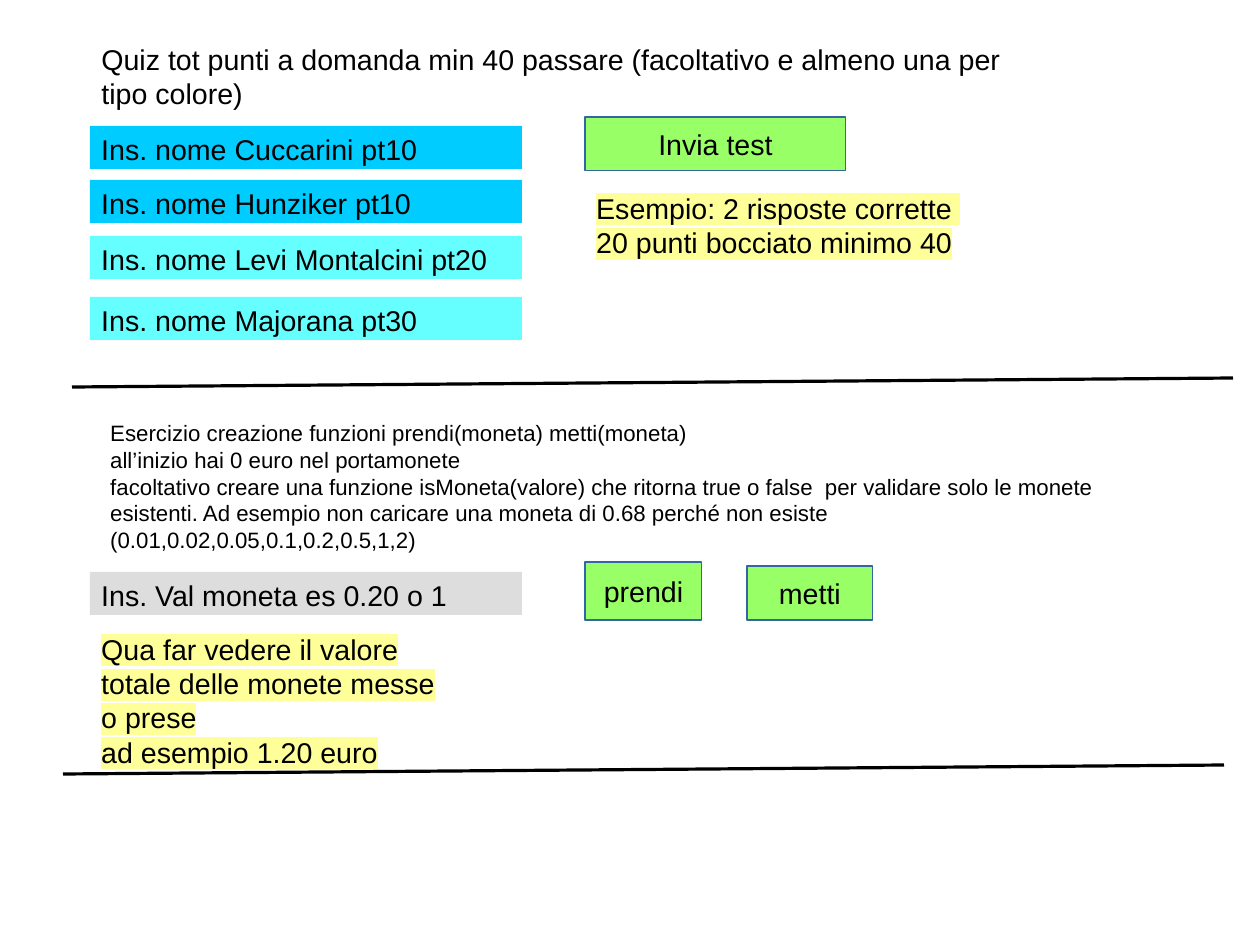
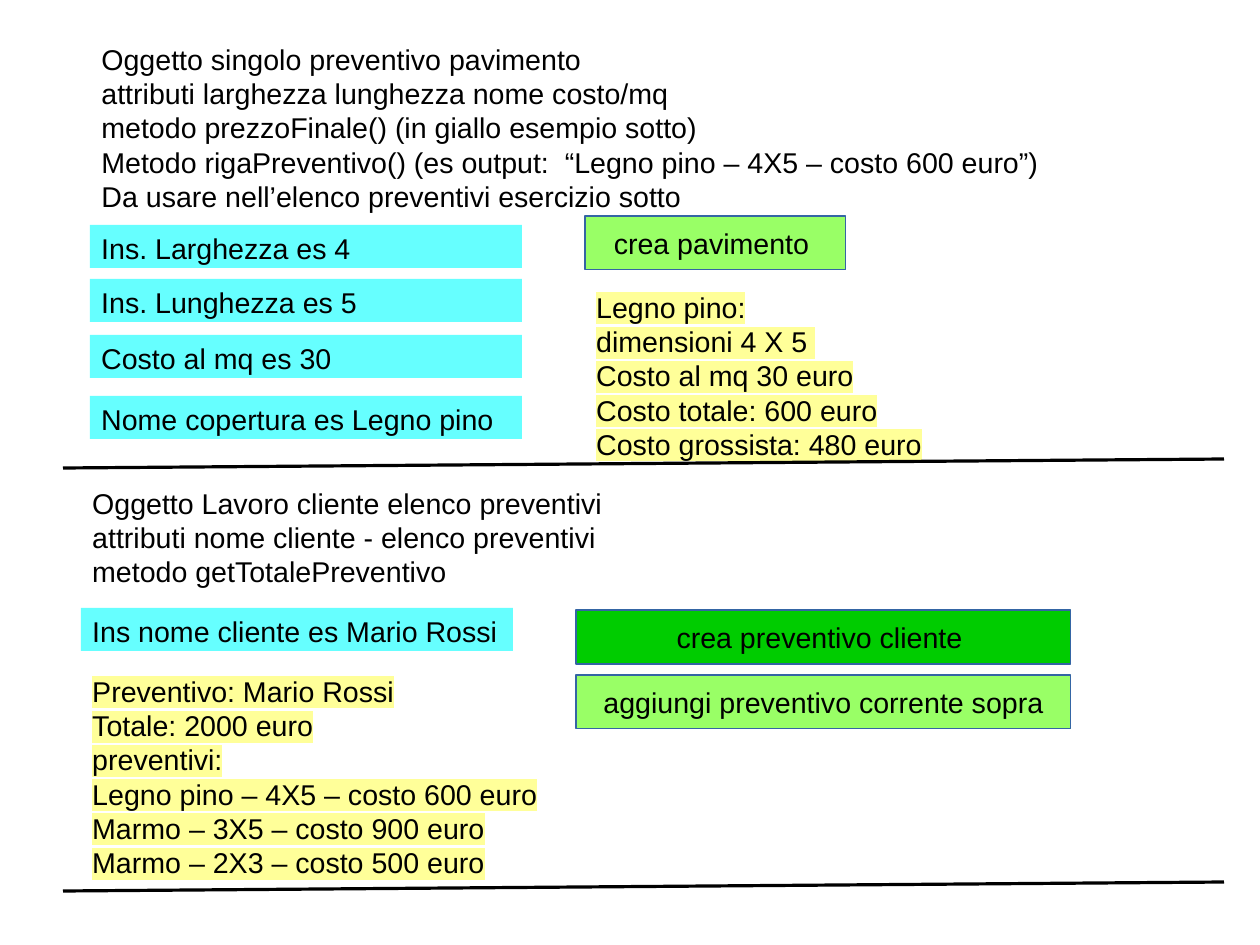
from lxml import etree
from pptx import Presentation
from pptx import util as u
from pptx.dml.color import RGBColor
from pptx.enum import shapes, text
from pptx.oxml.ns import qn

PX = 8000  # EMU in one px
SLIDE_W, SLIDE_H = 1260, 945
FONT = "Arial"
BLACK, BUTTON_EDGE, HIGHLIGHT = "000000", "3465A4", "FFFF99"
BLUE, CYAN, GREY = "00CCFF", "66FFFF", "DDDDDD"
LIGHT_GREEN, GREEN = "99FF66", "00CC00"

LEFT = 90            # left edge of the input fields
OUTPUT_DX = 495      # from the fields to the right-hand column
FIELD_W, FIELD_H = 432, 43
FIELD_STEPS = (0, 54, 110, 171)
BUTTON_H = 54
RULE_W, RULE_RISE = 1161, 9


def px(*lengths):
    return [u.Emu(length * PX) for length in lengths]


def color(hex_value):
    return RGBColor.from_string(hex_value)


def write(frame, lines, size=18, highlight=None,
          align=text.PP_ALIGN.LEFT, anchor=text.MSO_ANCHOR.TOP):
    """Fill a text frame, one paragraph for each line."""
    frame.word_wrap = True
    frame.auto_size = text.MSO_AUTO_SIZE.NONE
    frame.vertical_anchor = anchor
    for index, line in enumerate(lines):
        paragraph = frame.add_paragraph() if index else frame.paragraphs[0]
        paragraph.alignment = align
        run = paragraph.add_run()
        run.text = line
        run.font.size = u.Pt(size)
        run.font.color.rgb = color(BLACK)
        run.font.name = FONT
        if highlight:
            mark = etree.Element(qn("a:highlight"))
            etree.SubElement(mark, qn("a:srgbClr"), val=highlight)
            run.font._element.find(qn("a:latin")).addprevious(mark)


def add_title(slide, lines, height):
    title = slide.shapes.title
    title.left, title.top, title.width, title.height = px(LEFT, 36, 963, height)
    write(title.text_frame, lines)


def add_note(slide, box, lines, **text_format):
    note = slide.shapes.add_textbox(*px(*box))
    write(note.text_frame, lines, **text_format)


def add_block(slide, box, label, fill, edge=None, **text_format):
    block = slide.shapes.add_shape(shapes.MSO_SHAPE.RECTANGLE, *px(*box))
    block.shadow.inherit = False
    block.fill.solid()
    block.fill.fore_color.rgb = color(fill)
    if edge:
        block.line.color.rgb = color(edge)
        block.line.width = u.Pt(0)
    else:
        block.line.fill.background()
    write(block.text_frame, [label], **text_format)


def add_field(slide, left, top, label, fill):
    add_block(slide, (left, top, FIELD_W, FIELD_H), label, fill)


def add_button(slide, box, label, fill=LIGHT_GREEN):
    add_block(slide, box, label, fill, edge=BUTTON_EDGE,
              align=text.PP_ALIGN.CENTER, anchor=text.MSO_ANCHOR.MIDDLE)


def add_rule(slide, left, top):
    """Thin separator that rises slightly to the right."""
    rule = slide.shapes.add_connector(
        shapes.MSO_CONNECTOR.STRAIGHT,
        *px(left, top + RULE_RISE, left + RULE_W, top))
    rule.line.color.rgb = color(BLACK)
    rule.line.width = u.Pt(0)
    etree.SubElement(rule._element.spPr, qn("a:effectLst"))


def add_form(slide, left, top, fields, button, output, output_h):
    """Four input fields, with a button and its output on the right."""
    for step, (label, fill) in zip(FIELD_STEPS, fields):
        add_field(slide, left, top + step, label, fill)
    column = left + OUTPUT_DX
    add_button(slide, (column, top - 9, 261, BUTTON_H), button)
    add_note(slide, (column, top + 59, 468, output_h), output,
             highlight=HIGHLIGHT)


def add_wallet(slide, left, top):
    """Coin exercise: task, coin value, two buttons and the total."""
    add_note(slide, (left + 9, top, 1053, 140), [
        "Esercizio creazione funzioni prendi(moneta) metti(moneta)",
        "all’inizio hai 0 euro nel portamonete",
        "facoltativo creare una funzione isMoneta(valore) che ritorna true o "
        "false  per validare solo le monete esistenti. Ad esempio non caricare "
        "una moneta di 0.68 perché non esiste (0.01,0.02,0.05,0.1,0.2,0.5,1,2)",
    ], size=14)
    add_field(slide, left, top + 158, "Ins. Val moneta es 0.20 o 1", GREY)
    column = left + OUTPUT_DX
    add_button(slide, (column, top + 148, 117, 58), "prendi")
    add_button(slide, (column + 162, top + 152, 126, BUTTON_H), "metti")
    add_note(slide, (left, top + 212, 369, 140), [
        "Qua far vedere il valore totale delle monete messe o prese",
        "ad esempio 1.20 euro",
    ], highlight=HIGHLIGHT)


def add_client_quote(slide, left, top):
    """Client exercise: task, client name, two buttons and the quote."""
    add_note(slide, (left, top, 963, 115), [
        "Oggetto Lavoro cliente elenco preventivi",
        "attributi nome cliente - elenco preventivi",
        "metodo getTotalePreventivo",
    ])
    add_field(slide, left, top + 128, "Ins nome cliente es Mario Rossi", CYAN)
    column = left + OUTPUT_DX
    add_button(slide, (column, top + 130, 495, BUTTON_H),
               "crea preventivo cliente ", GREEN)
    add_button(slide, (column, top + 195, 495, BUTTON_H),
               "aggiungi preventivo corrente sopra")
    add_note(slide, (left, top + 188, 480, 220), [
        "Preventivo: Mario Rossi",
        "Totale: 2000 euro",
        "preventivi:",
        "Legno pino – 4X5 – costo 600 euro",
        "Marmo – 3X5 – costo 900 euro",
        "Marmo – 2X3 – costo 500 euro",
    ], highlight=HIGHLIGHT)


def build_quiz_slide(slide):
    add_title(slide, ["Quiz tot punti a domanda min 40 passare (facoltativo e "
                      "almeno una per tipo colore)"], 76)
    add_form(slide, LEFT, 126,
             [("Ins. nome Cuccarini pt10", BLUE),
              ("Ins. nome Hunziker pt10", BLUE),
              ("Ins. nome Levi Montalcini pt20", CYAN),
              ("Ins. nome Majorana pt30", CYAN)],
             "Invia test",
             ["Esempio: 2 risposte corrette ", "20 punti bocciato minimo 40"],
             76)
    add_rule(slide, 72, 378)
    add_wallet(slide, LEFT, 414)
    add_rule(slide, 63, 765)


def build_quote_slide(slide):
    add_title(slide, [
        "Oggetto singolo preventivo pavimento",
        "attributi larghezza lunghezza nome costo/mq",
        "metodo prezzoFinale() (in giallo esempio sotto)",
        "Metodo rigaPreventivo() (es output:  “Legno pino – 4X5 – costo 600 euro”)",
        "Da usare nell’elenco preventivi esercizio sotto",
    ], 184)
    field_labels = ("Ins. Larghezza es 4", "Ins. Lunghezza es 5",
                    "Costo al mq es 30", "Nome copertura es Legno pino")
    add_form(slide, LEFT, 225, [(label, CYAN) for label in field_labels],
             "crea pavimento ",
             ["Legno pino:", "dimensioni 4 X 5 ", "Costo al mq 30 euro",
              "Costo totale: 600 euro", "Costo grossista: 480 euro"],
             184)
    add_rule(slide, 63, 459)
    add_client_quote(slide, LEFT - 9, 480)
    add_rule(slide, 63, 882)


def main():
    deck = Presentation()
    deck.slide_width, deck.slide_height = px(SLIDE_W, SLIDE_H)
    title_only = deck.slide_layouts[5]
    for build in (build_quiz_slide, build_quote_slide):
        build(deck.slides.add_slide(title_only))
    deck.save("out.pptx")


if __name__ == "__main__":
    main()
